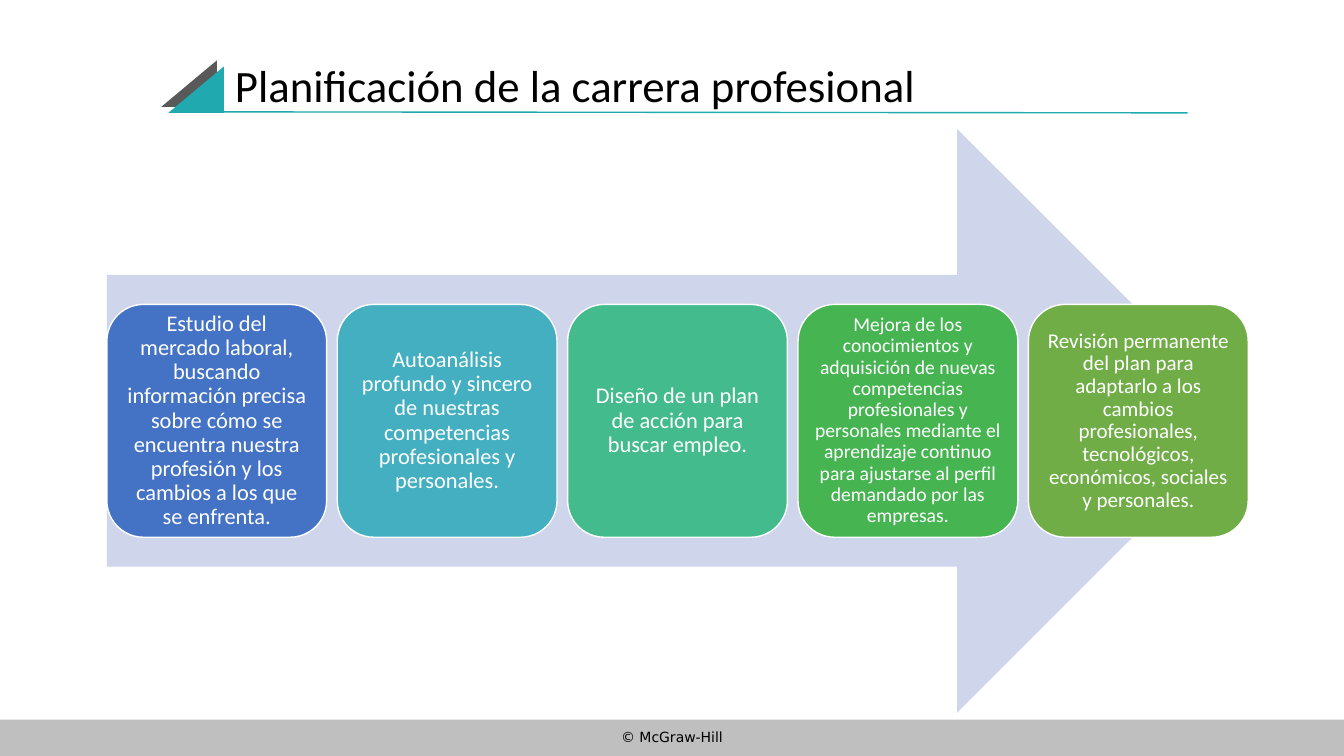
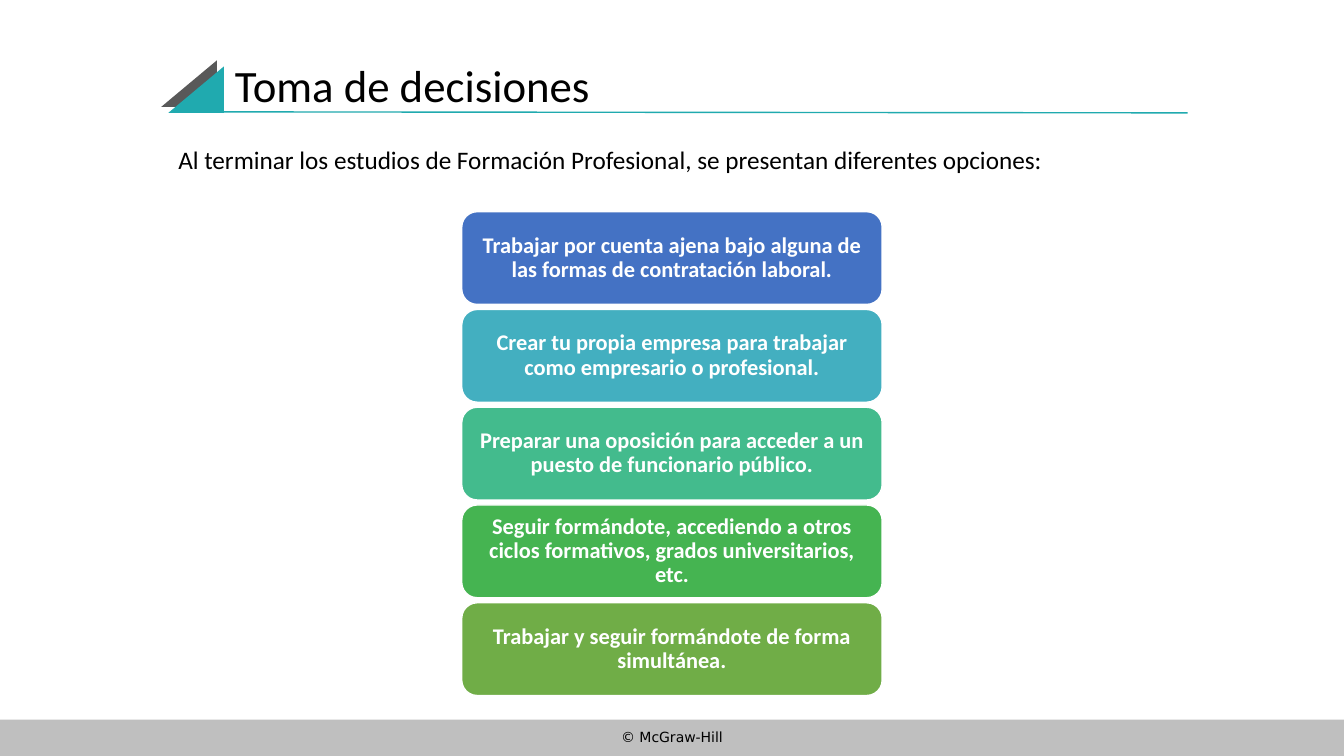
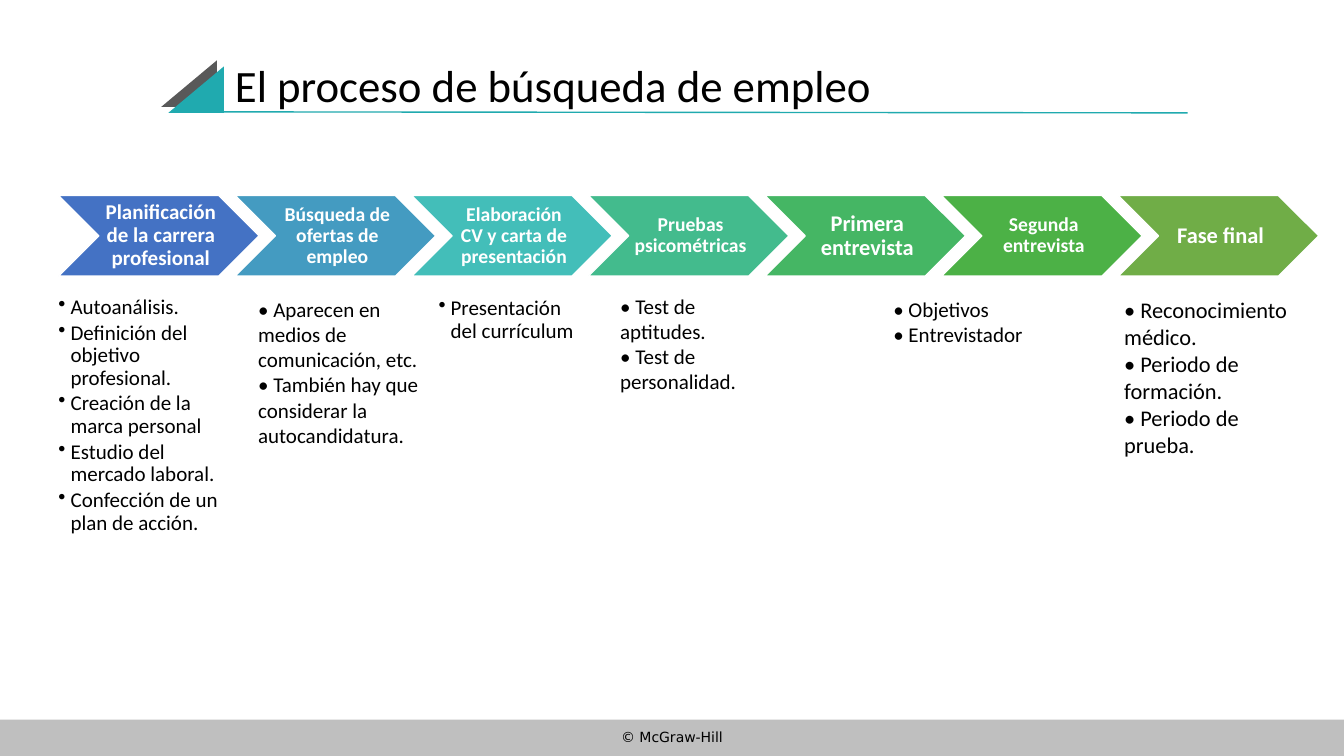
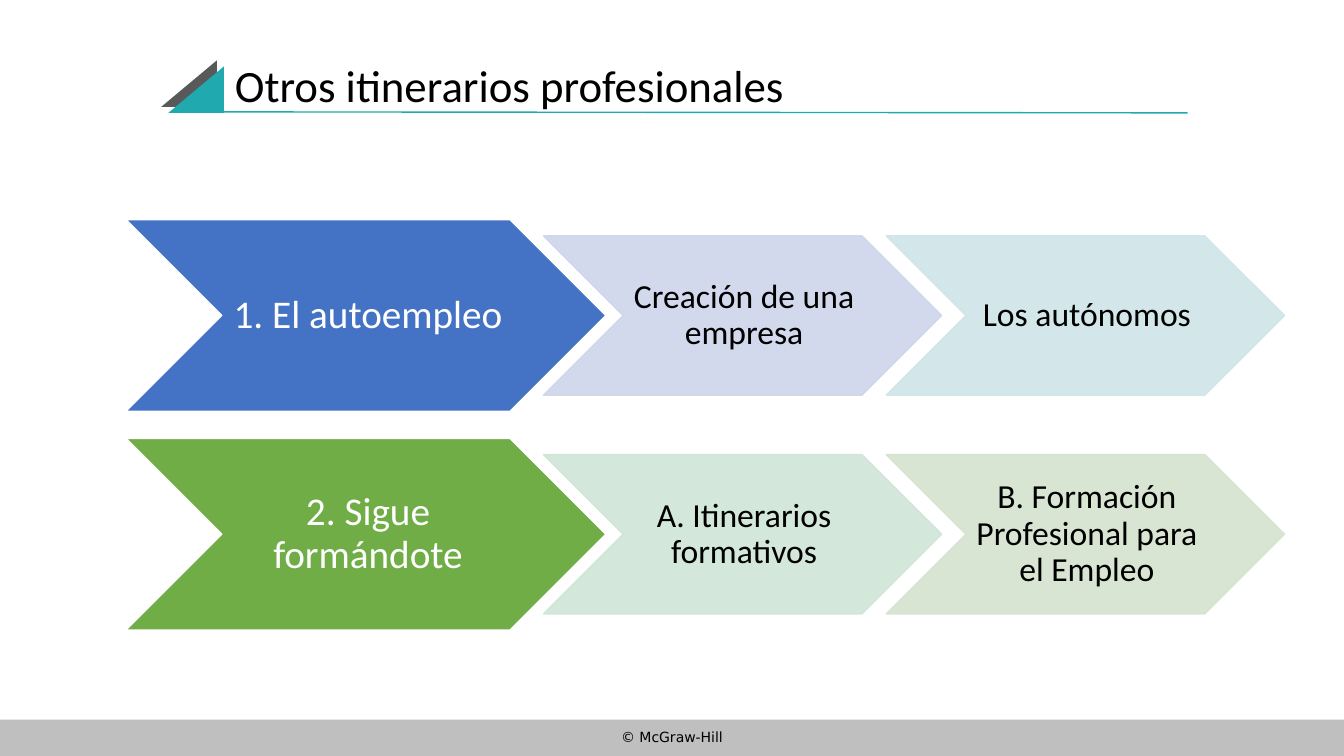
"""Build four slides on career planning and the job search."""
from lxml.etree import SubElement
from pptx import Presentation
from pptx.dml.color import RGBColor
from pptx.enum.shapes import MSO_CONNECTOR, MSO_SHAPE
from pptx.enum.text import MSO_ANCHOR, MSO_AUTO_SIZE, PP_ALIGN
from pptx.oxml.ns import qn
from pptx.util import Emu, Pt

PX = 9144
FONT, FOOTER_FONT = "Calibri", "DejaVu Sans"
BLACK, WHITE, BAND = "000000", "FFFFFF", "BFBFBF"
TEAL, GREY, PALE_BLUE = "20AAAF", "595959", "CFD5EA"
BLUE, GREEN = "4472C4", "70AD47"
STEP_COLOURS = [BLUE, "43AFC0", "43BB8D", "45B451", GREEN]
FOOTER = "© McGraw-Hill"

PLAN_TITLE = "Planificación de la carrera profesional"
PLAN_STEPS = [
    ("Estudio del mercado laboral, buscando información precisa sobre cómo se encuentra "
     "nuestra profesión y los cambios a los que se enfrenta.", 16, 7),
    ("Autoanálisis profundo y sincero de nuestras competencias profesionales y personales.", 16, 7),
    ("Diseño de un plan de acción para buscar empleo.", 16, 7),
    ("Mejora de los conocimientos y adquisición de nuevas competencias profesionales y "
     "personales mediante el aprendizaje continuo para ajustarse al perfil demandado por "
     "las empresas.", 14, 6),
    ("Revisión permanente del plan para adaptarlo a los cambios profesionales, tecnológicos, "
     "económicos, sociales y personales.", 15, 6),
]

DECISION_TITLE = "Toma de decisiones"
DECISION_INTRO = "Al terminar los estudios de Formación Profesional, se presentan diferentes opciones:"
DECISIONS = [
    "Trabajar por cuenta ajena bajo alguna de las formas de contratación laboral.",
    "Crear tu propia empresa para trabajar como empresario o profesional.",
    "Preparar una oposición para acceder a un puesto de funcionario público.",
    "Seguir formándote, accediendo a otros ciclos formativos, grados universitarios, etc.",
    "Trabajar y seguir formándote de forma simultánea.",
]

SEARCH_TITLE = "El proceso de búsqueda de empleo"
SEARCH_PHASES = [
    ("Planificación de la carrera profesional", 15, BLUE),
    ("Búsqueda de ofertas de empleo", 14, "449BC1"),
    ("Elaboración CV y carta de presentación", 14, "43BEB9"),
    ("Pruebas psicométricas", 14, "43BB8D"),
    ("Primera entrevista", 16, "45B664"),
    ("Segunda entrevista", 14, "4CB146"),
    ("Fase final", 16, GREEN),
]
SEARCH_DETAILS = [
    ((58, 294, 159, 251), 15, True, [
        "Autoanálisis.", "Definición del objetivo profesional.", "Creación de la marca personal",
        "Estudio del mercado laboral.", "Confección de un plan de acción."]),
    ((256, 294, 159, 251), 15, False, [
        "• Aparecen en medios de comunicación, etc.",
        "• También hay que considerar la autocandidatura."]),
    ((435, 295, 146, 251), 15, True, ["Presentación del currículum"]),
    ((615, 291, 159, 251), 15, False, ["• Test de aptitudes.", "• Test de personalidad."]),
    ((886, 294, 207, 251), 15, False, ["• Objetivos", "• Entrevistador"]),
    ((1115, 294, 188, 251), 16, False, [
        "• Reconocimiento médico.", "• Periodo de formación.", "• Periodo de prueba."]),
]

ROUTES_TITLE = "Otros itinerarios profesionales"
ROUTES = [
    ("1. El autoempleo", BLUE,
     [("Creación de una empresa", PALE_BLUE), ("Los autónomos", "CFE5E8")]),
    ("2. Sigue formándote", GREEN,
     [("A. Itinerarios formativos", "CFE5D8"),
      ("B. Formación Profesional para el Empleo", "D5E3CF")]),
]


def px(value):
    return Emu(round(value * PX))


def rgb(colour):
    return RGBColor.from_string(colour)


def add_shape(s, kind, box, fill, line=None, opacity=100):
    sp = s.shapes.add_shape(kind, *map(px, box))
    sp.shadow.inherit = False
    sp.fill.solid()
    sp.fill.fore_color.rgb = rgb(fill)
    if line:
        sp.line.color.rgb = rgb(line)
        sp.line.width = Pt(1)
    else:
        sp.line.fill.background()
    if opacity < 100:
        for clr in sp.element.spPr.iter(qn("a:srgbClr")):
            SubElement(clr, qn("a:alpha"), val=str(opacity * 1000))
    return sp


def hang_bullet(p):
    pPr = p._p.get_or_add_pPr()
    pPr.set("marL", str(px(12)))
    pPr.set("indent", str(-px(12)))
    SubElement(pPr, qn("a:buChar"), char="•")


def write(sp, lines, size, colour=BLACK, bold=False, font=FONT, align=PP_ALIGN.LEFT,
          spacing=None, insets=(10, 5, 10, 5), anchor=MSO_ANCHOR.TOP, bullets=False):
    tf = sp.text_frame
    tf.word_wrap = True
    tf.auto_size = MSO_AUTO_SIZE.NONE
    tf.vertical_anchor = anchor
    tf.margin_left, tf.margin_top, tf.margin_right, tf.margin_bottom = map(px, insets)
    for i, line in enumerate(lines):
        p = tf.add_paragraph() if i else tf.paragraphs[0]
        if bullets:
            hang_bullet(p)
            p.space_after = Pt(2)
        p.alignment = align
        if spacing:
            p.line_spacing = spacing
        r = p.add_run()
        r.text = line
        r.font.name = font
        r.font.size = Pt(size)
        r.font.bold = bold
        r.font.color.rgb = rgb(colour)


def add_label(sp, text, size, insets, colour=WHITE, bold=False):
    write(sp, [text], size, colour, bold, align=PP_ALIGN.CENTER, spacing=0.9,
          insets=insets, anchor=MSO_ANCHOR.MIDDLE)


def add_text(s, box, lines, size, **style):
    sp = s.shapes.add_textbox(*map(px, box))
    write(sp, lines, size, **style)
    return sp


def add_footer(layout, s):
    tree = layout.shapes.element
    for ph in list(layout.placeholders)[1:]:
        tree.remove(ph.element)
    band = add_shape(s, MSO_SHAPE.RECTANGLE, (0, 714, 1333, 36), BAND)
    text = add_text(s, (0, 718, 1333, 32), [FOOTER], 10, font=FOOTER_FONT,
                    align=PP_ALIGN.CENTER)
    for sp in (band, text):
        tree.append(sp.element)


def add_title(s, text):
    title = s.shapes.title
    title.left, title.top, title.width, title.height = map(px, (223, 39, 955, 96))
    write(title, [text], 32, spacing=0.9, anchor=MSO_ANCHOR.MIDDLE)
    for left, top, colour in ((160, 60, GREY), (167, 66, TEAL)):
        sp = add_shape(s, MSO_SHAPE.ISOSCELES_TRIANGLE, (left, top, 55, 46), colour)
        sp.adjustments[0] = 1
    rule = s.shapes.add_connector(MSO_CONNECTOR.STRAIGHT, *map(px, (222, 111, 1178, 112)))
    rule.line.color.rgb = rgb(TEAL)
    rule.line.width = Pt(1)
    SubElement(rule.element.spPr, qn("a:effectLst"))


def fill_plan(s):
    add_shape(s, MSO_SHAPE.RIGHT_ARROW, (106, 128, 1133, 579), PALE_BLUE)
    pitch = (1020 - 106) / (len(PLAN_STEPS) - 1)
    for i, ((text, size, inset), colour) in enumerate(zip(PLAN_STEPS, STEP_COLOURS)):
        sp = add_shape(s, MSO_SHAPE.ROUNDED_RECTANGLE, (106 + i * pitch, 302, 218, 231),
                       colour, WHITE)
        add_label(sp, text, size, (inset,) * 4)


def fill_decisions(s):
    add_text(s, (167, 138, 1000, 40), [DECISION_INTRO], 18)
    for i, (text, colour) in enumerate(zip(DECISIONS, STEP_COLOURS)):
        sp = add_shape(s, MSO_SHAPE.ROUNDED_RECTANGLE, (458, 210 + i * 97, 417, 92),
                       colour, WHITE)
        add_label(sp, text, 16, (7, 3, 7, 3), bold=True)


def fill_search(s):
    pitch = (1109 - 58) / (len(SEARCH_PHASES) - 1)
    for i, (text, size, colour) in enumerate(SEARCH_PHASES):
        sp = add_shape(s, MSO_SHAPE.CHEVRON, (58 + i * pitch, 194, 199, 80), colour, WHITE)
        add_label(sp, text, size, (6, 2, 2, 2), bold=True)
    for box, size, bullets, lines in SEARCH_DETAILS:
        add_text(s, box, lines, size, insets=(0,) * 4, bullets=bullets,
                 spacing=0.9 if bullets else None)


def fill_routes(s):
    for row, (text, colour, options) in enumerate(ROUTES):
        top = 218 + row * 217
        sp = add_shape(s, MSO_SHAPE.CHEVRON, (125, top, 476, 190), colour, WHITE)
        add_label(sp, text, 28, (4, 2, 0, 2))
        for col, (option, tint) in enumerate(options):
            sp = add_shape(s, MSO_SHAPE.CHEVRON, (539 + col * 340, top + 16, 395, 158),
                           tint, tint, opacity=90)
            add_label(sp, option, 24, (3, 2, 0, 2), BLACK)


def main():
    prs = Presentation()
    prs.slide_width, prs.slide_height = px(1333), px(750)
    layout = prs.slide_layouts[5]
    pages = [(PLAN_TITLE, fill_plan), (DECISION_TITLE, fill_decisions),
             (SEARCH_TITLE, fill_search), (ROUTES_TITLE, fill_routes)]
    for i, (title, fill) in enumerate(pages):
        s = prs.slides.add_slide(layout)
        if i == 0:
            add_footer(layout, s)
        add_title(s, title)
        fill(s)
    prs.save("out.pptx")


if __name__ == "__main__":
    main()
